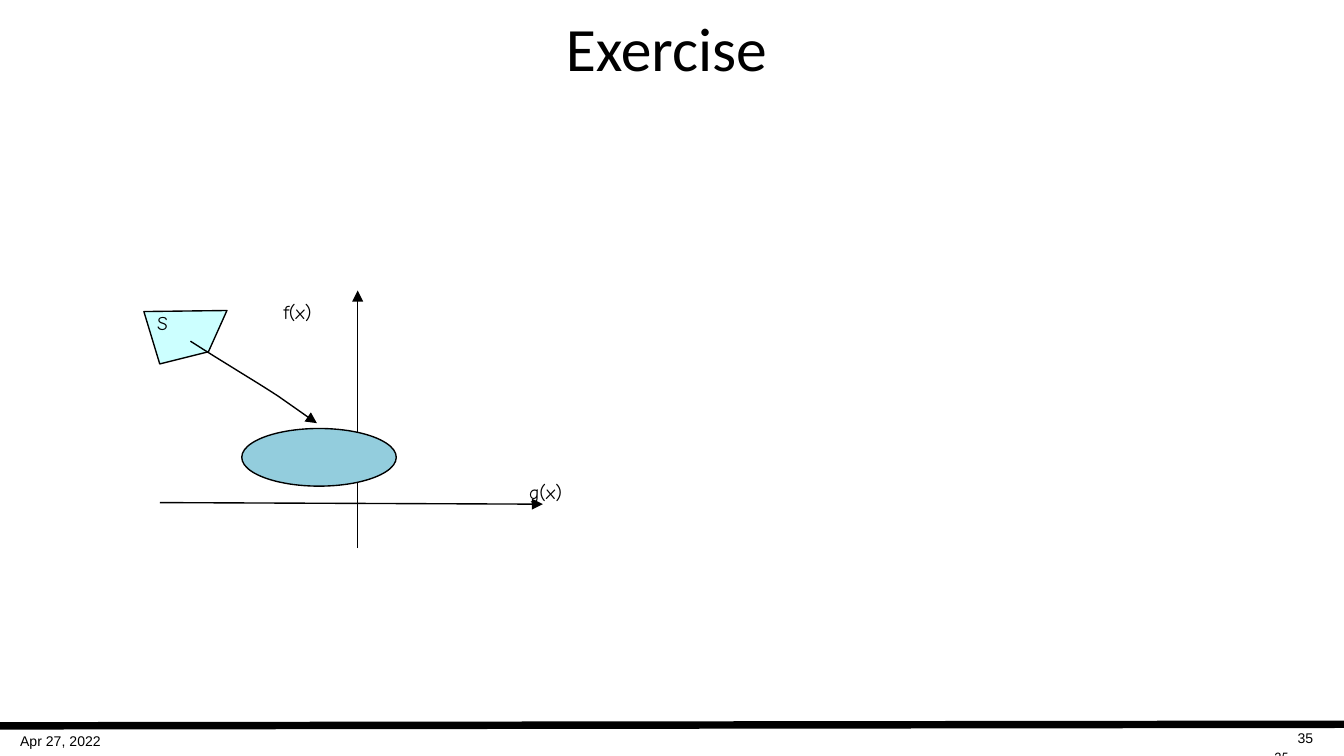
from lxml.etree import SubElement
from pptx import Presentation
from pptx.dml.color import RGBColor
from pptx.enum.shapes import MSO_CONNECTOR, MSO_SHAPE
from pptx.enum.text import MSO_ANCHOR, PP_ALIGN
from pptx.oxml.ns import qn
from pptx.util import Cm, Pt

HUES = {"ink": "000000", "set": "CCFFFF", "image": "93CDDD"}
TITLE = "Exercise"
RULE = (0, 13.72, 25.4, 13.69)
AXES = [(3.02, 9.5, 10.26, 9.53), (6.76, 10.36, 6.76, 5.49)]
SET = [(2.72, 5.89), (3.02, 6.88), (3.94, 6.65), (4.29, 5.87)]
OVAL = (4.57, 8.1, 2.92, 1.09)
CURVES = [
    [(3.6, 6.45), (4.24, 6.86), (4.88, 7.24), (5.26, 7.49)],
    [(5.26, 7.49), (5.66, 7.77), (5.87, 7.92), (5.99, 8)],
]
FOOTER = [
    ("Apr 27, 2022", 0.13, 13.72, 2.03, 0.58, PP_ALIGN.LEFT),
    ("35", 19.79, 13.67, 5.28, 0.64, PP_ALIGN.RIGHT),
]
LABELS = [
    ("g(x)", 9.75, 8.53, 1.7, 1.02, "Comic Neue", 18),
    ("f(x)", 5.11, 5.13, 1.68, 1.02, "Comic Neue", 18),
    ("S", 2.72, 5.33, 0.97, 1.02, "Comic Neue", 18),
    ("35", 23.83, 13.69, 1.27, 0.97, "Calibri", 13.5),
]


def color(name):
    return RGBColor.from_string(HUES[name])


def style(run, face, size):
    run.font.name, run.font.size = face, Pt(size)
    run.font.color.rgb = color("ink")


def write(slide, text, box, face, size, align=PP_ALIGN.LEFT):
    frame = slide.shapes.add_textbox(*map(Cm, box)).text_frame
    frame.text = text
    frame.word_wrap = align == PP_ALIGN.RIGHT
    para = frame.paragraphs[0]
    para.alignment = align
    style(para.runs[0], face, size)
    return para.runs[0]


def stroke(shape, width=0.75, arrow=False):
    shape.line.color.rgb = color("ink")
    shape.line.width = Pt(width)
    if arrow:
        SubElement(shape.line._get_or_add_ln(), qn("a:tailEnd"), type="triangle")


def link(slide, ends, width=0.75, arrow=False):
    line = slide.shapes.add_connector(MSO_CONNECTOR.STRAIGHT, *map(Cm, ends))
    stroke(line, width, arrow)
    SubElement(line._element.spPr, qn("a:effectLst"))


def finish(shape, fill=None, arrow=False):
    shape.shadow.inherit = False
    if fill:
        shape.fill.solid()
        shape.fill.fore_color.rgb = color(fill)
    else:
        shape.fill.background()
    effect = shape._element.spPr.find(qn("a:effectLst"))
    stroke(shape, arrow=arrow)
    shape._element.spPr.append(effect)


def trace(slide, points, close):
    first, *rest = [(Cm(x), Cm(y)) for x, y in points]
    pen = slide.shapes.build_freeform(*first, scale=1.0)
    pen.add_line_segments(rest, close=close)
    return pen.convert_to_shape()


def bend(curve, steps=8):
    for step in range(1, steps + 1):
        t = step / steps
        parts = ((1 - t) ** 3, 3 * t * (1 - t) ** 2, 3 * t * t * (1 - t), t ** 3)
        yield tuple(sum(w * p[k] for w, p in zip(parts, curve)) for k in (0, 1))


def head(slide):
    title = slide.shapes.title
    title.left, title.top, title.width, title.height = map(Cm, (0.71, 0.18, 23.77, 1.42))
    frame = title.text_frame
    frame.text = TITLE
    frame.vertical_anchor = MSO_ANCHOR.MIDDLE
    frame.paragraphs[0].alignment = PP_ALIGN.CENTER
    run = frame.paragraphs[0].runs[0]
    style(run, "Calibri", 33)
    effect = SubElement(run._r.rPr, qn("a:effectLst"))
    run._r.rPr.find(qn("a:solidFill")).addnext(effect)
    shade = SubElement(effect, qn("a:outerShdw"), blurRad="38100", dist="38100", dir="2700000")
    tint = SubElement(shade, qn("a:srgbClr"), val=HUES["ink"])
    SubElement(tint, qn("a:alpha"), val="43000")


def main():
    """Build the slide that maps a set S to the plane of g(x) and f(x)."""
    deck = Presentation()
    deck.slide_width, deck.slide_height = Cm(25.4), Cm(14.29)
    slide = deck.slides.add_slide(deck.slide_layouts[5])
    link(slide, RULE, width=4)
    for text, *box, align in FOOTER:
        write(slide, text, box, "Arial", 7.5, align)
    head(slide)
    for axis in AXES:
        link(slide, axis, arrow=True)
    finish(trace(slide, SET, True), "set")
    finish(slide.shapes.add_shape(MSO_SHAPE.OVAL, *map(Cm, OVAL)), "image")
    path = CURVES[0][:1] + [point for curve in CURVES for point in bend(curve)]
    finish(trace(slide, path, False), arrow=True)
    for text, *box, face, size in LABELS:
        run = write(slide, text, box, face, size)
        run._r.rPr.set("baseline", "-25000")
    deck.save("out.pptx")


if __name__ == "__main__":
    main()
